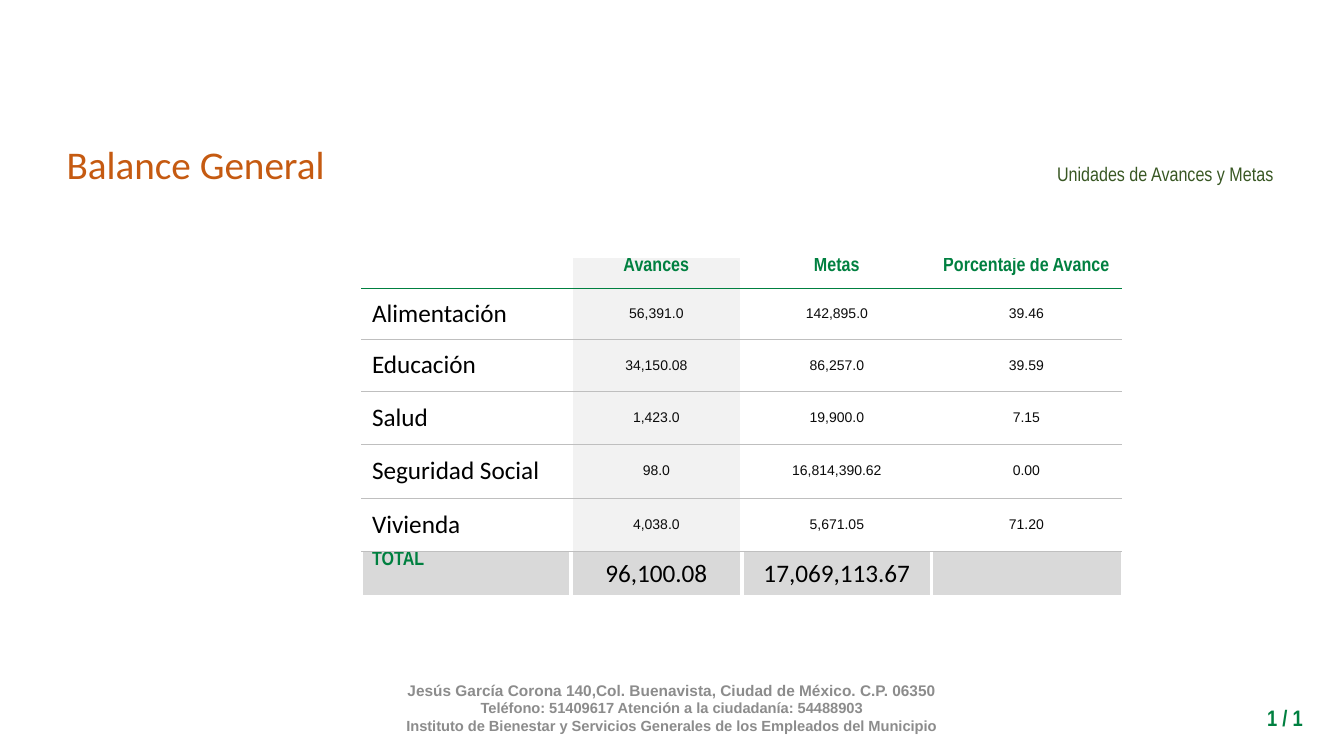
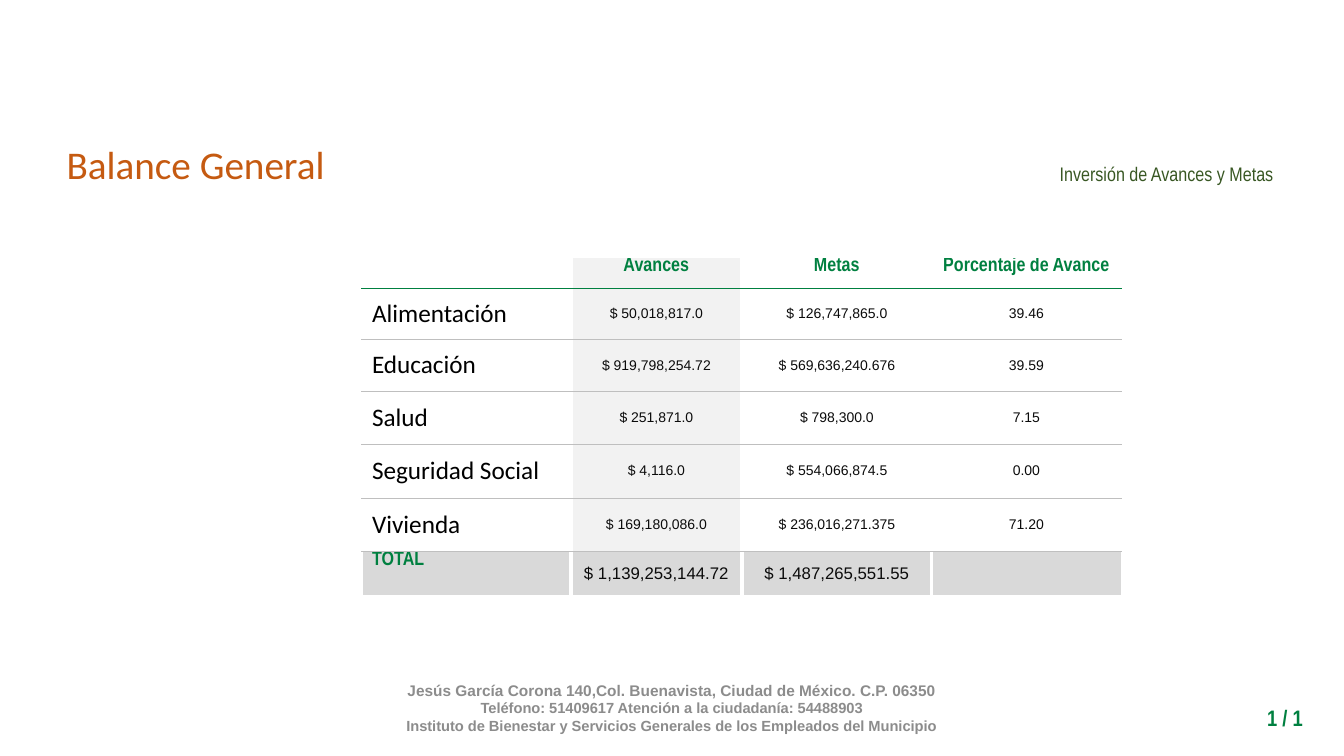
from lxml import etree
from pptx import Presentation
from pptx.dml.color import RGBColor
from pptx.enum.text import MSO_ANCHOR as ANCHOR, MSO_AUTO_SIZE as AUTO, PP_ALIGN as ALIGN
from pptx.oxml.ns import qn
from pptx.util import Inches, Pt

COLORS = {
    "title": "C55A11", "subtitle": "385723", "green": "008040", "footer": "8C8C8C",
    "black": "000000", "value": "0B0B0B", "white": "FFFFFF", "rule": "BFBFBF",
    "column": "F2F2F2", "total": "D9D9D9",
}
# Text styles: font, size, colour, bold
STYLES = {
    "title": ("Calibri", 28, "title", False),
    "subtitle": ("Arial Narrow", 14, "subtitle", False),
    "page": ("Arial Narrow", 16, "green", True),
    "address": ("Arial", 11, "footer", True),
    "contact": ("Arial", 10.5, "footer", True),
    "head": ("Arial Narrow", 14, "green", True),
    "label": ("Calibri", 18, "black", False),
    "value": ("Arial", 10, "value", False),
    "sum": ("Arial", 12, "value", False),
}
FOOTER = [
    ("Jesús García Corona 140,Col. Buenavista, Ciudad de México. C.P. 06350", "address"),
    ("Teléfono: 51409617 Atención a la ciudadanía: 54488903", "contact"),
    ("Instituto de Bienestar y Servicios Generales de los Empleados del Municipio", "contact"),
]
COL_WIDTHS = [2.07, 1.7, 1.88, 1.88]
ROW_HEIGHTS = [0.31, 0.51, 0.51, 0.53, 0.53, 0.53, 0.45]
HEADINGS = ["", "Avances", "Metas", "Porcentaje de Avance"]
TOPICS = ["Alimentación", "Educación", "Salud", "Seguridad Social", "Vivienda"]
PERCENTAGES = ["39.46", "39.59", "7.15", "0.00", "71.20"]


class Deck:
    def __init__(self):
        self.prs = Presentation()
        self.prs.slide_width, self.prs.slide_height = Inches(13.33), Inches(7.5)
        self.s = None

    def paragraph(self, p, text, style, align=ALIGN.LEFT):
        font, size, color, bold = STYLES[style]
        p.text, p.alignment = text, align
        p.font.name, p.font.size, p.font.bold = font, Pt(size), bold
        p.font.color.rgb = RGBColor.from_string(COLORS[color])

    def slide(self, title):
        self.s = self.prs.slides.add_slide(self.prs.slide_layouts[5])
        sp = self.s.shapes.title
        sp.left, sp.top, sp.width, sp.height = map(Inches, (0.56, 1.34, 4, 0.57))
        tf = sp.text_frame
        tf.auto_size, tf.vertical_anchor = AUTO.NONE, ANCHOR.TOP
        self.paragraph(tf.paragraphs[0], title, "title")

    def text(self, box, lines, align, anchor=ANCHOR.MIDDLE, spacing=None):
        tf = self.s.shapes.add_textbox(*map(Inches, box)).text_frame
        tf.word_wrap, tf.vertical_anchor = True, anchor
        for i, (text, style) in enumerate(lines):
            p = tf.add_paragraph() if i else tf.paragraphs[0]
            self.paragraph(p, text, style, align)
            if spacing:
                p.line_spacing = spacing

    def borders(self, cell, sides):
        """Draw the given sides, each as (colour, points), in schema order."""
        tcPr = cell._tc.get_or_add_tcPr()
        for i, (side, (color, width)) in enumerate(sides.items()):
            ln = etree.Element(qn(f"a:ln{side}"), w=str(Pt(width)))
            fill = etree.SubElement(ln, qn("a:solidFill"))
            etree.SubElement(fill, qn("a:srgbClr"), val=COLORS[color])
            tcPr.insert(i, ln)

    def cell(self, cell, text, row, col, last_row, total_style):
        # Text: headings and the total label sit at the top of their cells
        is_head, is_total = row == 0, row == last_row
        if is_head or (is_total and col == 0):
            style = "head"
        elif col == 0:
            style = "label"
        else:
            style = total_style if is_total else "value"
        cell.vertical_anchor = ANCHOR.TOP if style == "head" else ANCHOR.MIDDLE
        cell.margin_top = cell.margin_bottom = 0
        cell.margin_left = cell.margin_right = Inches(0.01 if col else 0.1)
        self.paragraph(cell.text_frame.paragraphs[0], text, style,
                       ALIGN.CENTER if col else ALIGN.LEFT)

        # Fill
        fill = "total" if is_total else "column" if col == 1 else None
        if fill:
            cell.fill.solid()
            cell.fill.fore_color.rgb = RGBColor.from_string(COLORS[fill])
        else:
            cell.fill.background()

        # Borders: white gaps between columns, thin rules between rows
        gap, head_rule, rule = ("white", 3), ("green", 0.25), ("rule", 0.5)
        sides = {}
        if col > 0:
            sides["L"] = gap
        if col < len(COL_WIDTHS) - 1:
            sides["R"] = gap
        if not is_head:
            sides["T"] = head_rule if row == 1 else rule
        sides["B"] = head_rule if is_head else gap if is_total else rule
        self.borders(cell, sides)

    def table(self, rows, total_style):
        frame = self.s.shapes.add_table(
            len(rows), len(COL_WIDTHS), Inches(3.59), Inches(2.55),
            Inches(sum(COL_WIDTHS)), Inches(sum(ROW_HEIGHTS)))
        table = frame.table
        table.first_row = table.horz_banding = False
        for column, width in zip(table.columns, COL_WIDTHS):
            column.width = Inches(width)
        for i, (row, height) in enumerate(zip(rows, ROW_HEIGHTS)):
            table.rows[i].height = Inches(height)
            for j, text in enumerate(row):
                self.cell(table.cell(i, j), text, i, j, len(rows) - 1, total_style)

    def balance(self, subtitle, progress, goals, totals, total_style):
        self.slide("Balance General")
        self.text((2.88, 6.82, 7.57, 0.4), FOOTER, ALIGN.CENTER)
        body = zip(TOPICS, progress, goals, PERCENTAGES)
        self.table([HEADINGS, *body, ["TOTAL", *totals, ""]], total_style)
        self.text((6.69, 1.23, 6.04, 0.95), [(subtitle, "subtitle")], ALIGN.RIGHT, spacing=1.15)
        self.text((11.76, 6.94, 1.26, 0.37), [("1 / 1", "page")], ALIGN.RIGHT, ANCHOR.TOP)


def main():
    deck = Deck()

    # Units
    deck.balance(
        "Unidades de Avances y Metas",
        ["56,391.0", "34,150.08", "1,423.0", "98.0", "4,038.0"],
        ["142,895.0", "86,257.0", "19,900.0", "16,814,390.62", "5,671.05"],
        ["96,100.08", "17,069,113.67"], "label")

    # Investment
    deck.balance(
        "Inversión de Avances y Metas",
        ["$ 50,018,817.0", "$ 919,798,254.72", "$ 251,871.0", "$ 4,116.0", "$ 169,180,086.0"],
        ["$ 126,747,865.0", "$ 569,636,240.676", "$ 798,300.0", "$ 554,066,874.5",
         "$ 236,016,271.375"],
        ["$ 1,139,253,144.72", "$ 1,487,265,551.55"], "sum")

    deck.prs.save("out.pptx")


if __name__ == "__main__":
    main()
